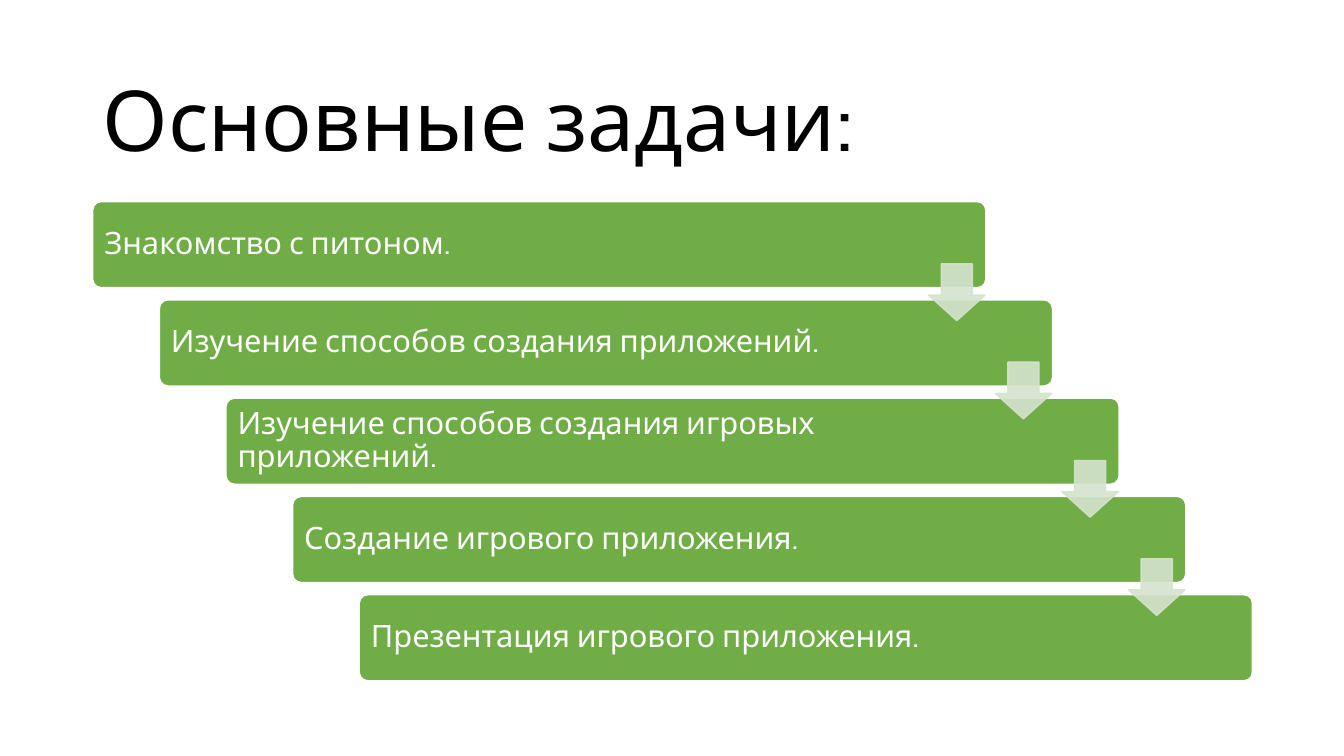
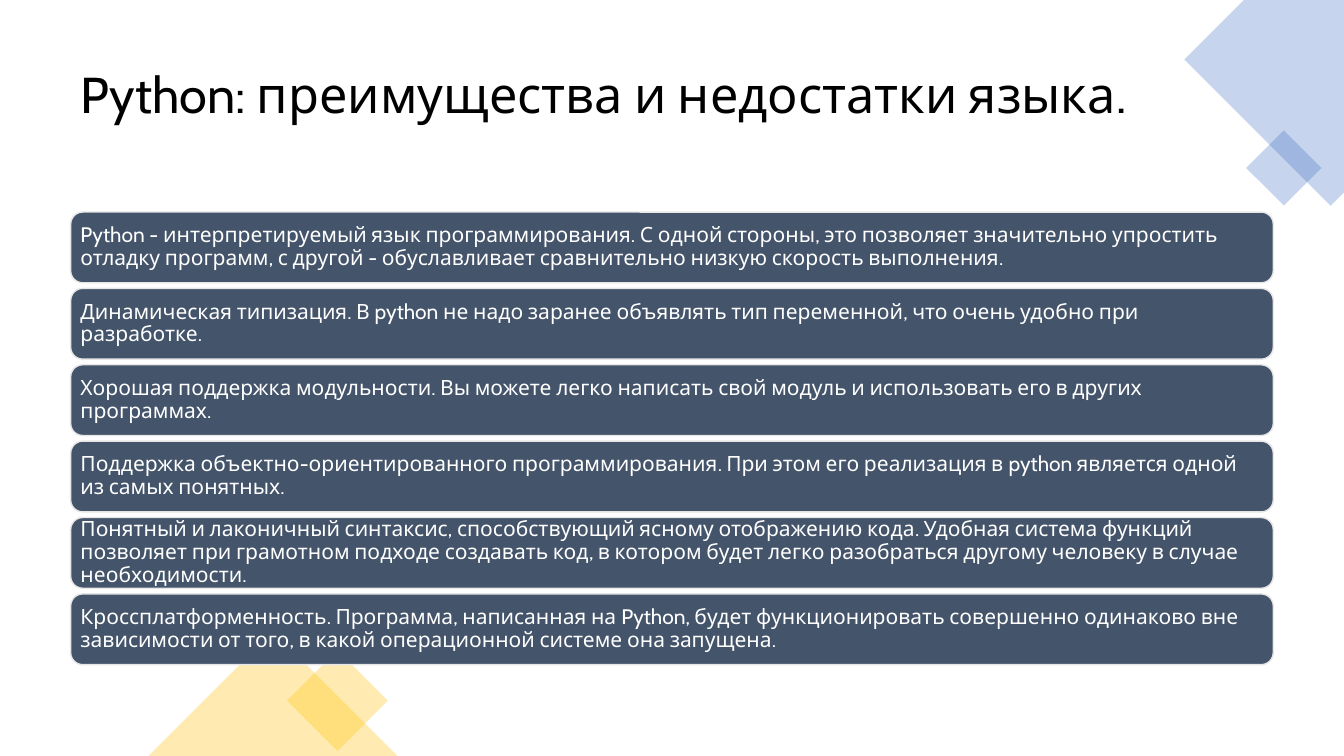
"""Build two slides: a staircase of project tasks and a list of Python traits."""
from pptx import Presentation, util as u
from pptx.dml import color
from pptx.enum import shapes, text
from pptx.oxml import ns, xmlchemy

KIND = shapes.MSO_SHAPE
TASKS = [
    "Знакомство с питоном.",
    "Изучение способов создания приложений.",
    "Изучение способов создания игровых приложений.",
    "Создание игрового приложения.",
    "Презентация игрового приложения.",
]
TRAITS = [
    "Python - интерпретируемый язык программирования. С одной стороны, это позволяет "
    "значительно упростить отладку программ, с другой - обуславливает сравнительно "
    "низкую скорость выполнения.",
    "Динамическая типизация. В python не надо заранее объявлять тип переменной, "
    "что очень удобно при разработке.",
    "Хорошая поддержка модульности. Вы можете легко написать свой модуль и "
    "использовать его в других программах.",
    "Поддержка объектно-ориентированного программирования. При этом его реализация "
    "в python является одной из самых понятных.",
    "Понятный и лаконичный синтаксис, способствующий ясному отображению кода. Удобная "
    "система функций позволяет при грамотном подходе создавать код, в котором будет "
    "легко разобраться другому человеку в случае необходимости.",
    "Кроссплатформенность. Программа, написанная на Python, будет функционировать "
    "совершенно одинаково вне зависимости от того, в какой операционной системе "
    "она запущена.",
]


def rgb(code):
    return color.RGBColor.from_string(code)


def assign(target, values):
    for name, value in values.items():
        setattr(target, name, value)


class Slides:
    FONT = "Cabin"
    BLACK, WHITE, PALE = "000000", "FFFFFF", "E7E6E6"
    GREEN, MINT, SLATE = "70AD47", "D5E3CF", "44546A"
    BLUE, AMBER = "4472C4", "FFC000"

    def __init__(self):
        self.deck = Presentation()
        assign(self.deck, {"slide_width": u.Pt(960), "slide_height": u.Pt(540)})
        self.page = None

    def put_text(self, box, words, size, code, margins):
        left, top, right, bottom = map(u.Pt, margins)
        frame = box.text_frame
        assign(frame, {
            "word_wrap": True, "auto_size": text.MSO_AUTO_SIZE.NONE,
            "vertical_anchor": text.MSO_ANCHOR.MIDDLE,
            "margin_left": left, "margin_top": top,
            "margin_right": right, "margin_bottom": bottom,
        })
        para = frame.paragraphs[0]
        assign(para, {"alignment": text.PP_ALIGN.LEFT, "line_spacing": 0.9})
        span = para.add_run()
        span.text = words
        assign(span.font, {"name": self.FONT, "size": u.Pt(size)})
        span.font.color.rgb = rgb(code)

    def paint(self, shape, fill, line=None, opacity=100):
        shape.shadow.inherit = False
        shape.fill.solid()
        shape.fill.fore_color.rgb = rgb(fill)
        if line:
            shape.line.width = u.Pt(1)
            shape.line.color.rgb = rgb(line)
        else:
            shape.line.fill.background()
        if opacity < 100:
            for tint in shape.element.spPr.iter(ns.qn("a:srgbClr")):
                alpha = xmlchemy.OxmlElement("a:alpha")
                alpha.set("val", str(opacity * 1000))
                tint.append(alpha)

    def new_page(self, title, size, place):
        self.page = self.deck.slides.add_slide(self.deck.slide_layouts[5])
        box = self.page.shapes.title
        assign(box, dict(zip(("left", "top", "width", "height"), map(u.Pt, place))))
        self.put_text(box, title, size, self.BLACK, (7.2, 3.6, 7.2, 3.6))

    def shape(self, kind, place, fill, line=None, opacity=100, turn=0, adjust=()):
        shape = self.page.shapes.add_shape(kind, *map(u.Pt, place))
        shape.rotation = turn
        for index, value in enumerate(adjust):
            shape.adjustments[index] = value
        self.paint(shape, fill, line, opacity)
        return shape

    def bar(self, place, words, size, fill, line, margins, corner):
        box = self.shape(KIND.ROUNDED_RECTANGLE, place, fill, line, adjust=(corner,))
        self.put_text(box, words, size, self.WHITE, margins)

    def outline(self, points, fill, opacity):
        start, *rest = [(u.Pt(x), u.Pt(y)) for x, y in points]
        builder = self.page.shapes.build_freeform(*start)
        builder.add_line_segments(rest, close=True)
        self.paint(builder.convert_to_shape(), fill, opacity=opacity)

    def arrow(self, left, top):
        self.shape(KIND.DOWN_ARROW, (left, top, 40.5, 40.5), self.MINT, self.MINT,
                   opacity=90, adjust=(0.55, 0.45))

    def tasks_page(self):
        self.new_page("Основные задачи:", 60, (66, 44, 828, 89.5))
        steps = [(66.2 + 47.6 * i, 144 + 70.2 * i) for i in range(len(TASKS))]
        for (left, top), words in zip(steps, TASKS):
            self.bar((left, top, 638, 61.5), words, 22, self.GREEN, self.WHITE,
                     (6.5, 6.5, 94, 6.5), 0.1)
        for left, top in steps[:-1]:
            self.arrow(left + 597, top + 44.5)

    def traits_page(self):
        self.new_page("Python: преимущества и недостатки языка.", 36,
                      (50.5, 25, 859, 89.5))
        self.outline([(960, 0), (888.5, 0), (846, 42.5), (950.5, 147), (960, 137.5)],
                     self.BLUE, 30)
        for kind, place, code, turn in (
            (KIND.RECTANGLE, (898, 101, 38, 38), self.BLUE, 45),
            (KIND.RECTANGLE, (215.5, 475, 51, 51), self.AMBER, 45),
            (KIND.ISOSCELES_TRIANGLE, (106, 451, 178, 89), self.AMBER, 0),
        ):
            self.shape(kind, place, code, opacity=30, turn=turn)
        for index, words in enumerate(TRAITS):
            self.bar((50.5, 151.5 + 54.55 * index, 859, 50.5), words, 15,
                     self.SLATE, self.PALE, (4.5, 4.5, 4.5, 4.5), 0.17)


def main():
    slides = Slides()
    slides.tasks_page()
    slides.traits_page()
    slides.deck.save("out.pptx")


if __name__ == "__main__":
    main()
